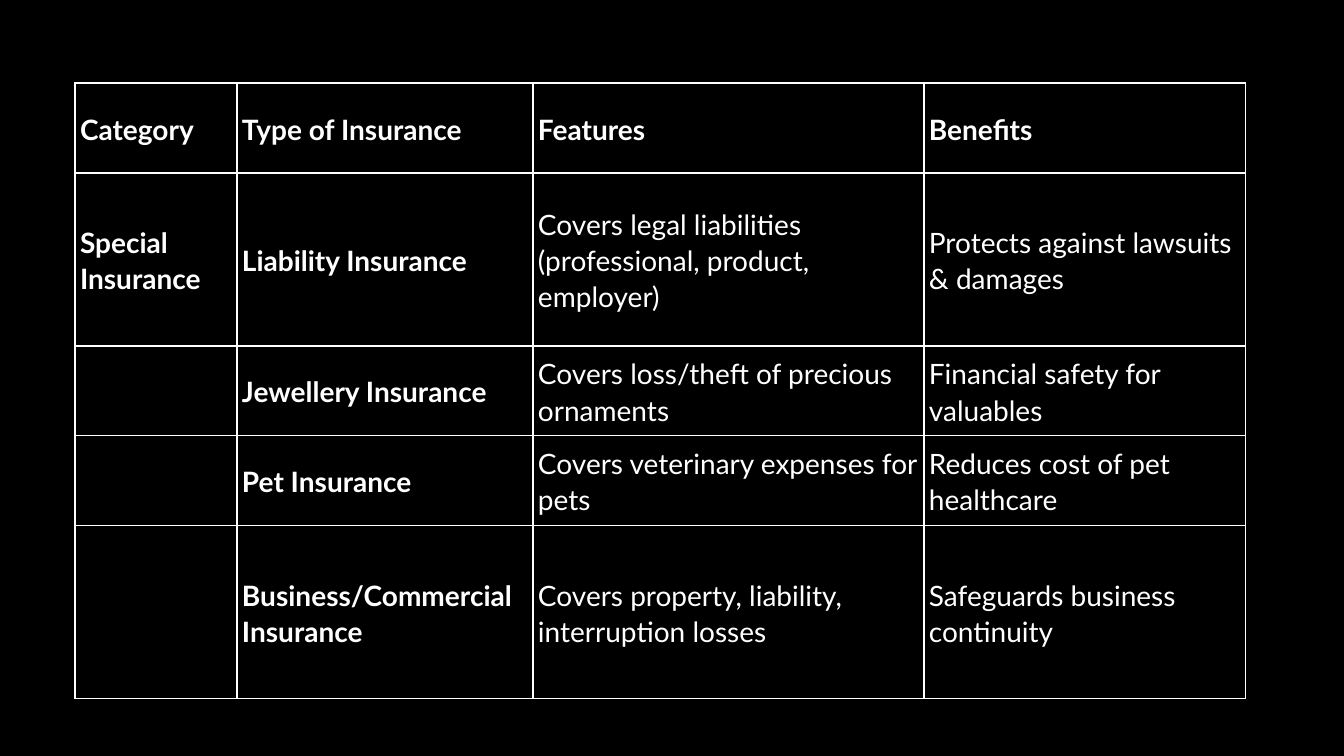
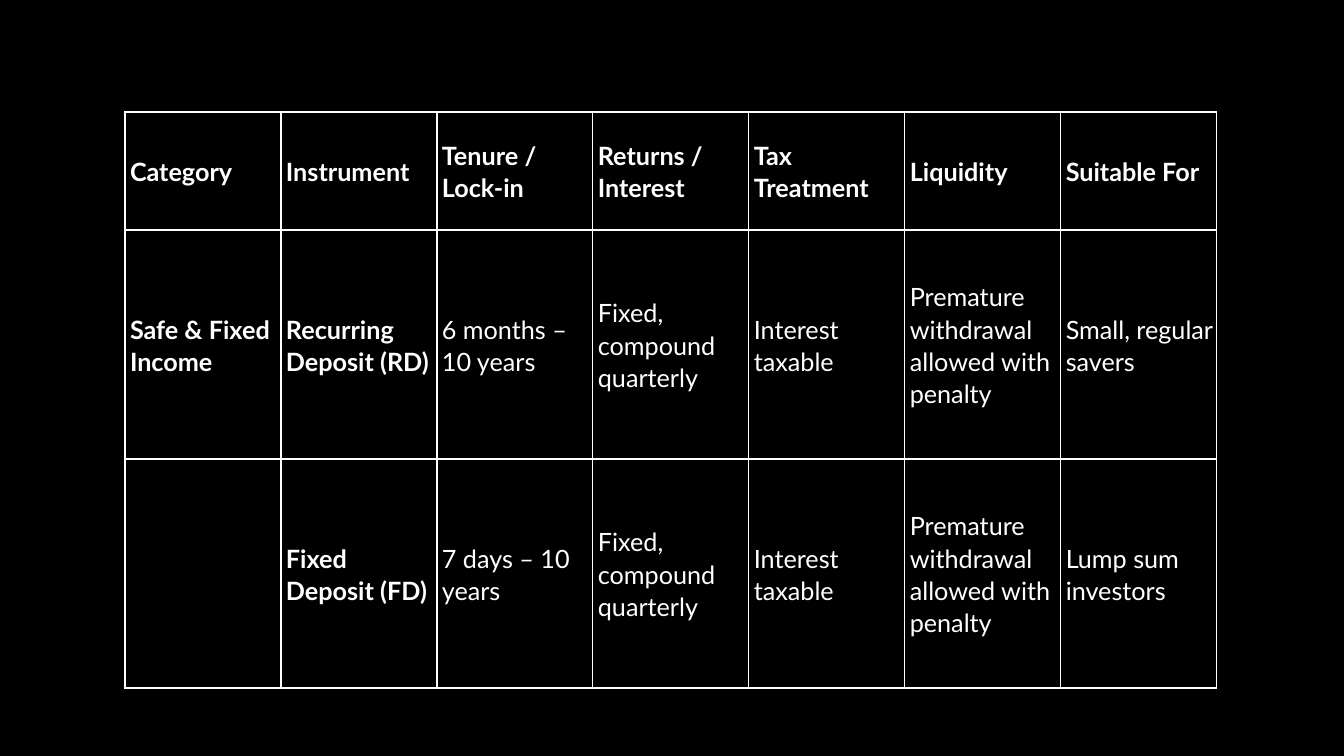
import pptx
import pptx.util
import pptx.dml.color
import pptx.enum.text
import pptx.oxml
import pptx.oxml.ns

WIDTH, HEIGHT = 1344, 756
SCALE = 12192000 / WIDTH
COLORS = {"back": "000000", "text": "FFFFFF", "line": "FFFFFF"}
FONT = "Lato"
INSET, INDENT = 1, 4
BOLD_COLS = 2

COVER = [
    ["Category", "Type of Insurance", "Features", "Benefits"],
    ["Special Insurance", "Liability Insurance",
     "Covers legal liabilities (professional, product, employer)",
     "Protects against lawsuits & damages"],
    ["", "Jewellery Insurance", "Covers loss/theft of precious ornaments",
     "Financial safety for valuables"],
    ["", "Pet Insurance", "Covers veterinary expenses for pets",
     "Reduces cost of pet healthcare"],
    ["", "Business/Commercial Insurance",
     "Covers property, liability, interruption losses",
     "Safeguards business continuity"],
]
TERMS = ["Fixed, compound quarterly", "Interest taxable",
         "Premature withdrawal allowed with penalty"]
SAVING = [
    ["Category", "Instrument", "Tenure / Lock-in", "Returns / Interest",
     "Tax Treatment", "Liquidity", "Suitable For"],
    ["Safe & Fixed Income", "Recurring Deposit (RD)", "6 months – 10 years",
     *TERMS, "Small, regular savers"],
    ["", "Fixed Deposit (FD)", "7 days – 10 years",
     *TERMS, "Lump sum investors"],
]


def px(count):
    return pptx.util.Emu(round(count * SCALE))


def color(name):
    return pptx.dml.color.RGBColor.from_string(COLORS[name])


def add_border(cell):
    props = cell._tc.get_or_add_tcPr()
    space = pptx.oxml.ns.nsdecls("a")
    for place, side in enumerate(("lnL", "lnR", "lnT", "lnB")):
        props.insert(place, pptx.oxml.parse_xml(
            f'<a:{side} {space} w="{pptx.util.Pt(1)}"><a:solidFill>'
            f'<a:srgbClr val="{COLORS["line"]}"/></a:solidFill></a:{side}>'))


def write_text(cell, text, size, bold):
    cell.text = text
    para = cell.text_frame.paragraphs[0]
    props = para._p.get_or_add_pPr()
    props.set("marL", str(px(INDENT)))
    props.set("indent", "0")
    para.line_spacing = 1.07
    para.space_after = pptx.util.Pt(8)
    font = para.font
    font.name = FONT
    font.size = pptx.util.Pt(size)
    font.bold = bold
    font.color.rgb = color("text")


def style_cell(cell):
    cell.margin_left = cell.margin_right = px(INSET)
    cell.margin_top = cell.margin_bottom = px(INSET)
    cell.vertical_anchor = pptx.enum.text.MSO_ANCHOR.MIDDLE
    cell.fill.background()
    add_border(cell)


def add_grid(deck, left, top, widths, heights, size, data):
    slide = deck.slides.add_slide(deck.slide_layouts[6])
    frame = slide.shapes.add_table(
        len(heights), len(widths), px(left), px(top),
        px(sum(widths)), px(sum(heights)))
    table = frame.table
    table.first_row = table.horz_banding = False
    for column, width in zip(table.columns, widths):
        column.width = px(width)
    for row, height in zip(table.rows, heights):
        row.height = px(height)
    for y, texts in enumerate(data):
        for x, text in enumerate(texts):
            cell = table.cell(y, x)
            style_cell(cell)
            if text:
                write_text(cell, text, size, y == 0 or x < BOLD_COLS)


def main():
    deck = pptx.Presentation()
    deck.slide_width, deck.slide_height = px(WIDTH), px(HEIGHT)
    fill = deck.slide_master.background.fill
    fill.solid()
    fill.fore_color.rgb = color("back")
    add_grid(deck, 75, 83, [162, 296, 391, 322], [90, 173, 90, 90, 173],
             20, COVER)
    add_grid(deck, 125, 112, [156] * 7, [118, 229, 229], 18, SAVING)
    deck.save("out.pptx")


if __name__ == "__main__":
    main()
